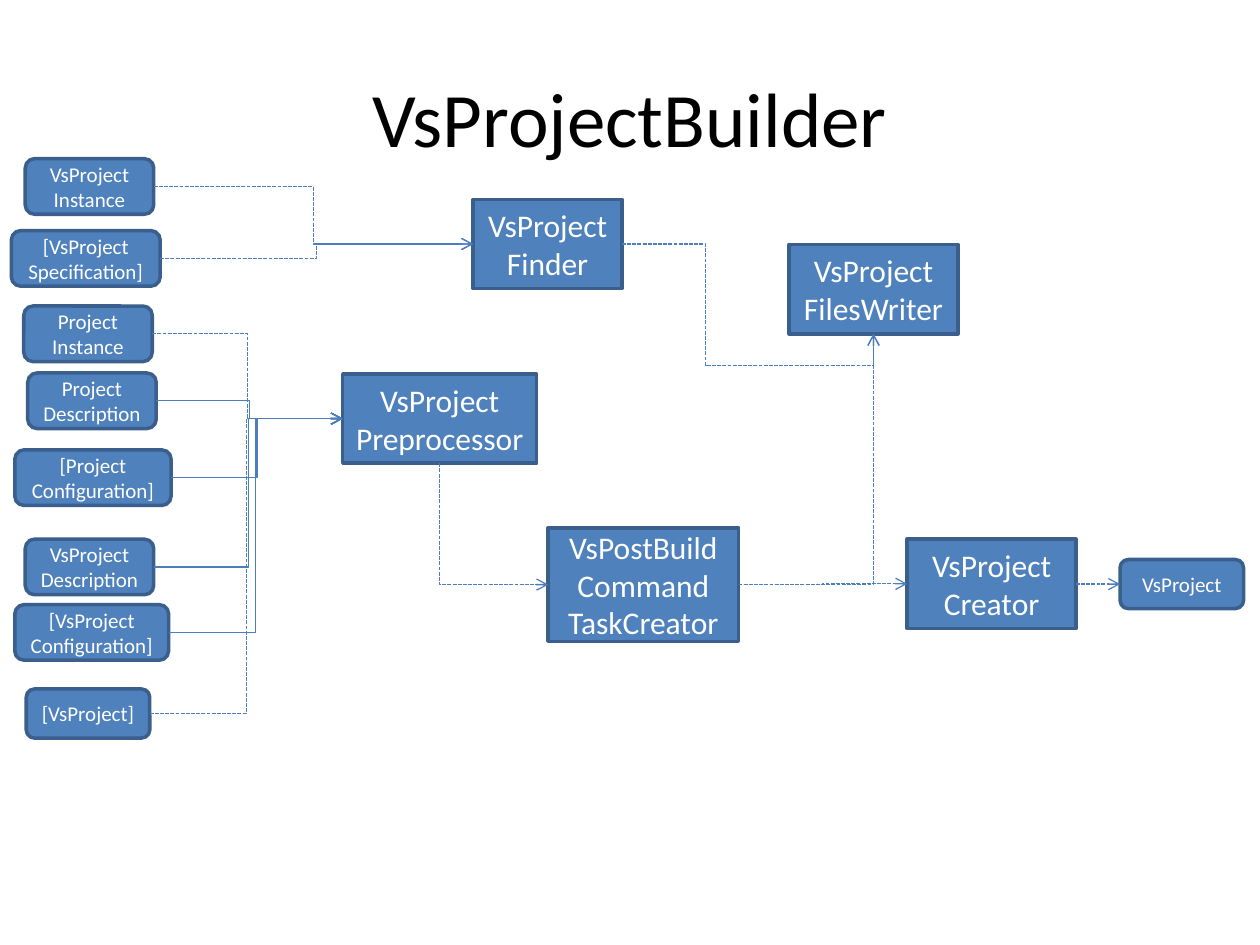
from pptx import Presentation
from pptx.dml.color import RGBColor
from pptx.enum.dml import MSO_LINE
from pptx.enum.shapes import MSO_CONNECTOR, MSO_SHAPE
from pptx.enum.text import MSO_ANCHOR, PP_ALIGN
from pptx.oxml.ns import qn
from pptx.util import Cm, Pt
from lxml.etree import SubElement

COLORS = {"fill": "4F81BD", "border": "3A5F8C", "arrow": "4B7EBC",
          "label": "FFFFFF", "title": "000000"}
FONT = "Calibri"
TOP, LEFT, BOTTOM, RIGHT = range(4)  # connection sites of a box

# label: left, top, width, height in cm
STEPS = {
    "VsProject Preprocessor": (6.91, 7.54, 3.91, 1.8),
    "VsProject Finder": (9.54, 4.02, 3, 1.8),
    "VsProject FilesWriter": (15.91, 4.93, 3.4, 1.8),
    "VsProject Creator": (18.29, 10.87, 3.4, 1.8),
    "VsPostBuild Command TaskCreator": (11.05, 10.64, 3.84, 2.29),
}
DATA = {
    "VsProject Instance": (0.51, 3.2, 2.59, 1.12),
    "[VsProject Specification]": (0.23, 4.65, 3, 1.12),
    "Project Instance": (0.48, 6.17, 2.59, 1.12),
    "Project Description": (0.56, 7.52, 2.59, 1.12),
    "[Project Configuration]": (0.3, 9.07, 3.15, 1.12),
    "VsProject Description": (0.51, 10.87, 2.59, 1.12),
    "[VsProject Configuration]": (0.3, 12.19, 3.1, 1.12),
    "[VsProject]": (0.53, 13.89, 2.49, 0.99),
    "VsProject": (22.58, 11.28, 2.49, 0.99),
}
# step: its inputs and whether each is dashed
INPUTS = {
    "VsProject Preprocessor": {
        "Project Description": False, "[Project Configuration]": False,
        "VsProject Description": False, "[VsProject Configuration]": False,
        "Project Instance": True, "[VsProject]": True},
    "VsProject Finder": {
        "[VsProject Specification]": True, "VsProject Instance": True},
}


def rgb(name):
    """Look up a named colour."""
    return RGBColor.from_string(COLORS[name])


def write(frame, text, size, color):
    """Put one centred run into a text frame."""
    frame.word_wrap = True
    frame.vertical_anchor = MSO_ANCHOR.MIDDLE
    paragraph = frame.paragraphs[0]
    paragraph.alignment = PP_ALIGN.CENTER
    run = paragraph.add_run()
    run.text = text
    run.font.size, run.font.name = Pt(size), FONT
    run.font.color.rgb = rgb(color)


def add_title(slide, text):
    """Place and fill the title placeholder."""
    title = slide.shapes.title
    title.left, title.top = Cm(1.27), Cm(0.76)
    title.width, title.height = Cm(22.86), Cm(3.18)
    write(title.text_frame, text, 44, "title")


def add_box(slide, outline, text, place, size):
    """Add a labelled box."""
    box = slide.shapes.add_shape(outline, *map(Cm, place))
    box.shadow.inherit = False
    box.fill.solid()
    box.fill.fore_color.rgb = rgb("fill")
    box.line.color.rgb = rgb("border")
    box.line.width = Pt(2)
    write(box.text_frame, text, size, "label")
    return box


def add_arrow(slide, source, target, exit_site=RIGHT, entry_site=LEFT,
              dashed=True, bend="bentConnector3", adjust=()):
    """Glue a bent arrow between two boxes."""
    arrow = slide.shapes.add_connector(MSO_CONNECTOR.ELBOW, 0, 0, 0, 0)
    arrow.begin_connect(source, exit_site)
    arrow.end_connect(target, entry_site)
    arrow.line.color.rgb = rgb("arrow")
    arrow.line.width = Pt(0.75)
    if dashed:
        arrow.line.dash_style = MSO_LINE.SQUARE_DOT
    properties = arrow._element.spPr
    SubElement(arrow.line._get_or_add_ln(), qn("a:tailEnd"), type="arrow")
    SubElement(properties, qn("a:effectLst"))
    geometry = properties.find(qn("a:prstGeom"))
    geometry.set("prst", bend)
    guides = geometry.find(qn("a:avLst"))
    for number, value in enumerate(adjust, 1):
        SubElement(guides, qn("a:gd"), name=f"adj{number}", fmla=f"val {value}")
    return arrow


def turn_downward(arrow):
    """Rotate a two-part arrow so that it leaves downward, then runs right."""
    across, down = arrow.width, arrow.height
    arrow.left += (across - down) // 2
    arrow.top += (down - across) // 2
    arrow.width, arrow.height = down, across
    frame = arrow._element.spPr.find(qn("a:xfrm"))
    frame.set("rot", str(270 * 60000))
    frame.set("flipH", "1")


def main():
    """Build the slide."""
    deck = Presentation()
    deck.slide_width, deck.slide_height = Cm(25.4), Cm(19.05)
    slide = deck.slides.add_slide(deck.slide_layouts[5])
    add_title(slide, "VsProjectBuilder")

    boxes = {}
    for outline, group, size in ((MSO_SHAPE.RECTANGLE, STEPS, 18),
                                 (MSO_SHAPE.ROUNDED_RECTANGLE, DATA, 12)):
        for text, place in group.items():
            boxes[text] = add_box(slide, outline, text, place, size)

    for step, inputs in INPUTS.items():
        for text, dashed in inputs.items():
            add_arrow(slide, boxes[text], boxes[step], dashed=dashed)

    preprocessor, finder, writer, creator, post_build = (
        boxes[text] for text in STEPS)
    add_arrow(slide, finder, writer, entry_site=BOTTOM,
              bend="bentConnector4", adjust=(33200, 135300))
    add_arrow(slide, creator, boxes["VsProject"])
    turn_downward(add_arrow(slide, preprocessor, post_build, exit_site=BOTTOM,
                            bend="bentConnector2"))
    add_arrow(slide, post_build, creator)
    add_arrow(slide, post_build, writer, entry_site=BOTTOM,
              bend="bentConnector2")
    deck.save("out.pptx")


main()
